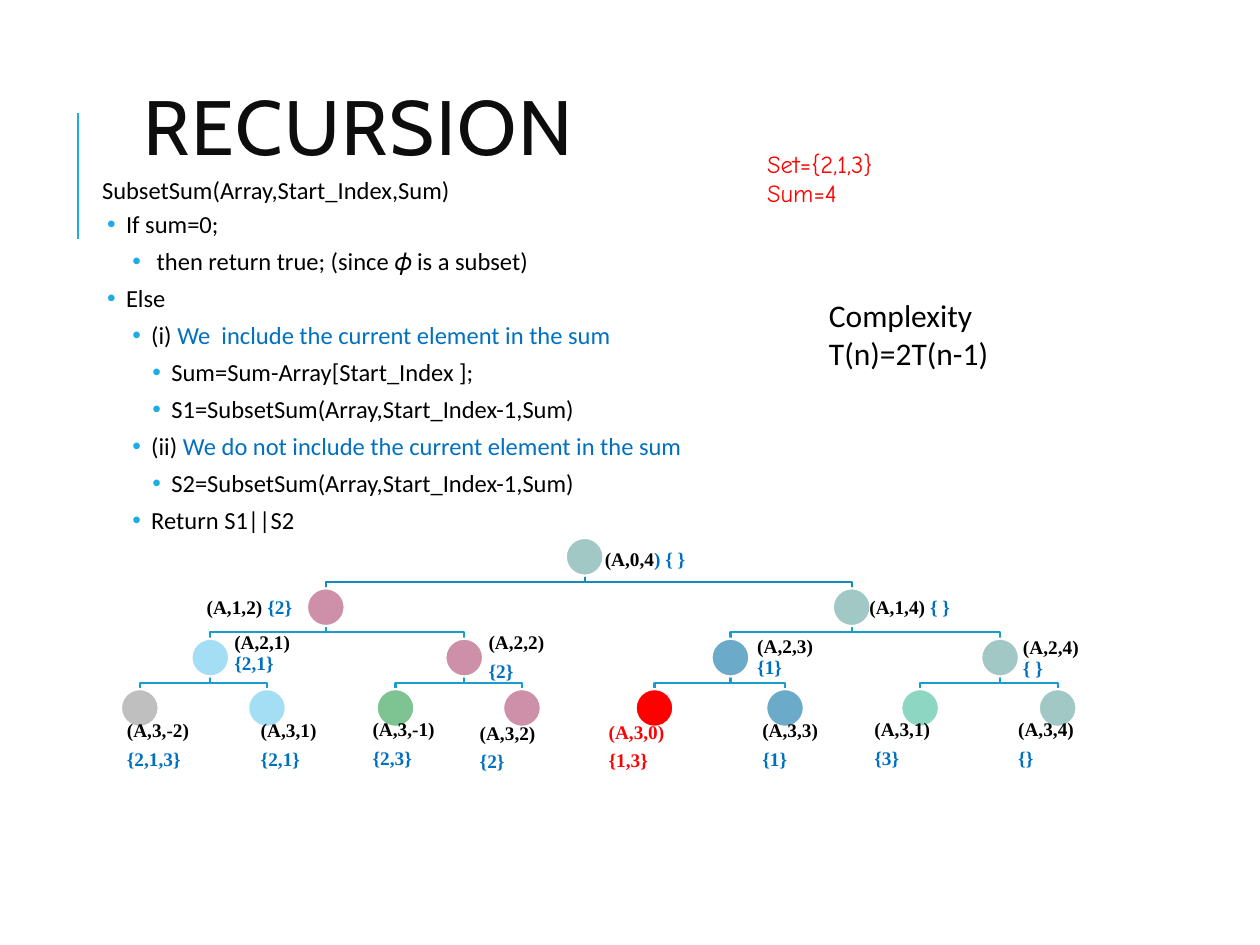
from collections import namedtuple
from lxml.etree import SubElement
from pptx import Presentation
from pptx.dml.color import RGBColor
from pptx.enum.shapes import MSO_CONNECTOR, MSO_SHAPE
from pptx.enum.text import MSO_ANCHOR as Anchor, MSO_AUTO_SIZE as AutoSize, PP_ALIGN as Align
from pptx.oxml.ns import qn
from pptx.util import Pt

COLORS = {
    "accent": "1CADE4", "title": "0D0D0D", "black": "000000", "blue": "0070C0",
    "red": "FF0000", "white": "FFFFFF", "root_branch": "168BB7", "branch": "199DCF",
    "teal": "A1C8C5", "rose": "CE90A8", "sky": "A4DEF4", "steel": "6BAAC8",
    "gray": "BFBFBF", "green": "7EC492", "mint": "8DD6C1",
}
TREE_TOP, LEVEL_PITCH, DIAMETER = 307.4, 28.8, 21.6
SIDE, BELOW = False, True

# Level order: the children of node i are nodes 2i + 1 and 2i + 2
Node = namedtuple("Node", "center fill left top width call subset stacked")
NODES = [
    Node(334.1, "teal", 342, 309.6, 103, "(A,0,4", ") { }", SIDE),
    Node(186.2, "rose", 114.5, 337, 128.9, "(A,1,2) ", "{2}", SIDE),
    Node(486.7, "teal", 493.2, 337, 118.8, "(A,1,4) ", "{ }", SIDE),
    Node(120.2, "sky", 130.3, 362.9, 43.2, "(A,2,1) ", "{2,1}", SIDE),
    Node(265.3, "rose", 275.6, 365, 50.4, "(A,2,2)", "{2}", BELOW),
    Node(417.4, "steel", 429.1, 365, 42.5, "(A,2,3) ", "{1}", SIDE),
    Node(571.5, "teal", 581, 365.8, 46.1, "(A,2,4) ", "{ }", SIDE),
    Node(79.9, "gray", 68.9, 415.4, 56.9, "(A,3,-2)", "{2,1,3}", BELOW),
    Node(152.6, "sky", 145.4, 415.4, 59, "(A,3,1)", "{2,1}", BELOW),
    Node(226, "green", 209.3, 414.7, 57.6, "(A,3,-1)", "{2,3}", BELOW),
    Node(298.3, "rose", 270.5, 416.9, 63.4, "(A,3,2)", "{2}", BELOW),
    Node(374, "red", 344.2, 416.2, 61.9, "(A,3,0)", "{1,3}", BELOW),
    Node(448.6, "steel", 432, 415.4, 66.2, "(A,3,3)", "{1}", BELOW),
    Node(525.8, "mint", 496.1, 414.7, 69.1, "(A,3,1) ", "{3}", BELOW),
    Node(604.4, "teal", 578.2, 414.7, 70.6, "(A,3,4)", "{}", BELOW),
]

# Outline level, then runs as (text, colour)
ALGORITHM = [
    (0, [("SubsetSum(Array,Start_Index,Sum)", "black")]),
    (1, [("If sum=0;", "black")]),
    (2, [(" then return true; (since \U0001d719 is a subset)", "black")]),
    (1, [("Else", "black")]),
    (2, [("(i) ", "black"), ("We  include the current element in the sum", "blue")]),
    (3, [("Sum=Sum-Array[Start_Index ]; ", "black")]),
    (3, [("S1=SubsetSum(Array,Start_Index-1,Sum)", "black")]),
    (2, [("(ii) ", "black"), ("We do not include the current element in the sum", "blue")]),
    (3, [("S2=SubsetSum(Array,Start_Index-1,Sum)", "black")]),
    (2, [("Return S1||S2", "black")]),
]
MARGINS = [7.2, 20.9, 35.3, 46.8]
HANGING = 10.8


def rgb(name):
    return RGBColor.from_string(COLORS[name])


def add_run(paragraph, text, color, font, size, bold=False):
    run = paragraph.add_run()
    run.text = text
    run.font.name, run.font.size, run.font.bold = font, Pt(size), bold
    run.font.color.rgb = rgb(color)
    return run


def add_text(slide, box, paragraphs, font, size, bold=False, inset=None, anchor=Anchor.TOP):
    """Add a text box; each paragraph is a list of (text, colour) runs."""
    frame = slide.shapes.add_textbox(*map(Pt, box)).text_frame
    frame.word_wrap, frame.auto_size = True, AutoSize.NONE
    frame.vertical_anchor = anchor
    if inset is not None:
        frame.margin_left = frame.margin_right = Pt(inset)
        frame.margin_top = frame.margin_bottom = Pt(inset)
    for index, runs in enumerate(paragraphs):
        paragraph = frame.add_paragraph() if index else frame.paragraphs[0]
        for text, color in runs:
            add_run(paragraph, text, color, font, size, bold)
    return frame


def add_title(slide, text):
    title = slide.shapes.title
    title.left, title.top, title.width, title.height = map(Pt, (74.9, 31, 553, 90))
    frame = title.text_frame
    frame.vertical_anchor, frame.auto_size = Anchor.MIDDLE, AutoSize.NONE
    paragraph = frame.paragraphs[0]
    paragraph.alignment, paragraph.line_spacing = Align.LEFT, 0.8
    run = add_run(paragraph, text, "title", "Cabin", 44)
    run.font._element.set("spc", "100")


def add_accent_line(slide):
    rule = slide.shapes.add_connector(
        MSO_CONNECTOR.STRAIGHT, *map(Pt, (44.6, 136.8, 44.6, 64.8)))
    rule.line.color.rgb, rule.line.width = rgb("accent"), Pt(1.5)
    SubElement(rule._element.spPr, qn("a:effectLst"))


def set_bullet(paragraph):
    properties = paragraph._p.get_or_add_pPr()
    color = SubElement(properties, qn("a:buClr"))
    SubElement(color, qn("a:srgbClr")).set("val", COLORS["accent"])
    SubElement(properties, qn("a:buFont")).set("typeface", "Arial")
    SubElement(properties, qn("a:buChar")).set("char", "•")


def add_algorithm(slide):
    frame = add_text(slide, (47.5, 98.6, 411.8, 221.8),
                     [runs for _, runs in ALGORITHM], "Calibri", 14, inset=3.6)
    for paragraph, (level, _) in zip(frame.paragraphs, ALGORITHM):
        paragraph.level, paragraph.line_spacing = level, 0.9
        paragraph.space_before = Pt(2 if level else 0)
        paragraph.space_after = Pt(4 if level else 2)
        properties = paragraph._p.get_or_add_pPr()
        properties.set("marL", str(Pt(MARGINS[level])))
        properties.set("indent", str(Pt(-HANGING if level else 0)))
        if level:
            set_bullet(paragraph)


def level_top(index):
    return TREE_TOP + LEVEL_PITCH * ((index + 1).bit_length() - 1)


def add_branch(slide, child):
    parent = (child - 1) // 2
    start, end = NODES[parent].center, NODES[child].center
    top, bottom = level_top(parent) + DIAMETER, level_top(child)
    middle = (top + bottom) / 2
    builder = slide.shapes.build_freeform(Pt(start), Pt(top), scale=1.0)
    corners = [(start, middle), (end, middle), (end, bottom)]
    builder.add_line_segments([(Pt(x), Pt(y)) for x, y in corners], close=False)
    branch = builder.convert_to_shape()
    branch.shadow.inherit = False
    branch.fill.background()
    branch.line.color.rgb = rgb("branch" if parent else "root_branch")
    branch.line.width = Pt(1.25)


def add_node(slide, index, node):
    circle = slide.shapes.add_shape(
        MSO_SHAPE.OVAL, Pt(node.center - DIAMETER / 2), Pt(level_top(index)),
        Pt(DIAMETER), Pt(DIAMETER))
    circle.shadow.inherit = False
    circle.fill.solid()
    circle.fill.fore_color.rgb = rgb(node.fill)
    circle.line.color.rgb, circle.line.width = rgb("white"), Pt(1.25)

    found = node.fill == "red"
    call = (node.call, "red" if found else "black")
    subset = (node.subset, "red" if found else "blue")
    paragraphs = [[call], [subset]] if node.stacked else [[call, subset]]
    label = add_text(slide, (node.left, node.top, node.width, DIAMETER), paragraphs,
                     "Times New Roman", 11, True, 3.6, Anchor.MIDDLE)
    for paragraph in label.paragraphs:
        paragraph.line_spacing, paragraph.space_after = 0.9, Pt(4.4)


def main():
    deck = Presentation()
    deck.slide_width, deck.slide_height = Pt(720), Pt(540)
    slide = deck.slides.add_slide(deck.slide_layouts[5])

    # Heading and algorithm
    add_accent_line(slide)
    add_title(slide, "RECURSION")
    add_algorithm(slide)

    # Recursion tree, branches behind nodes
    for child in reversed(range(1, len(NODES))):
        add_branch(slide, child)
    for index, node in enumerate(NODES):
        add_node(slide, index, node)

    # Example input and complexity
    add_text(slide, (431.3, 81.4, 174.2, 41),
             [[("Set={2,1,3}", "red")], [("Sum=4", "red")]], "Comic Neue", 14)
    add_text(slide, (466.6, 165.6, 200.2, 51),
             [[("Complexity", "black")], [("T(n)=2T(n-1)", "black")]], "Calibri", 18)
    deck.save("out.pptx")


main()
